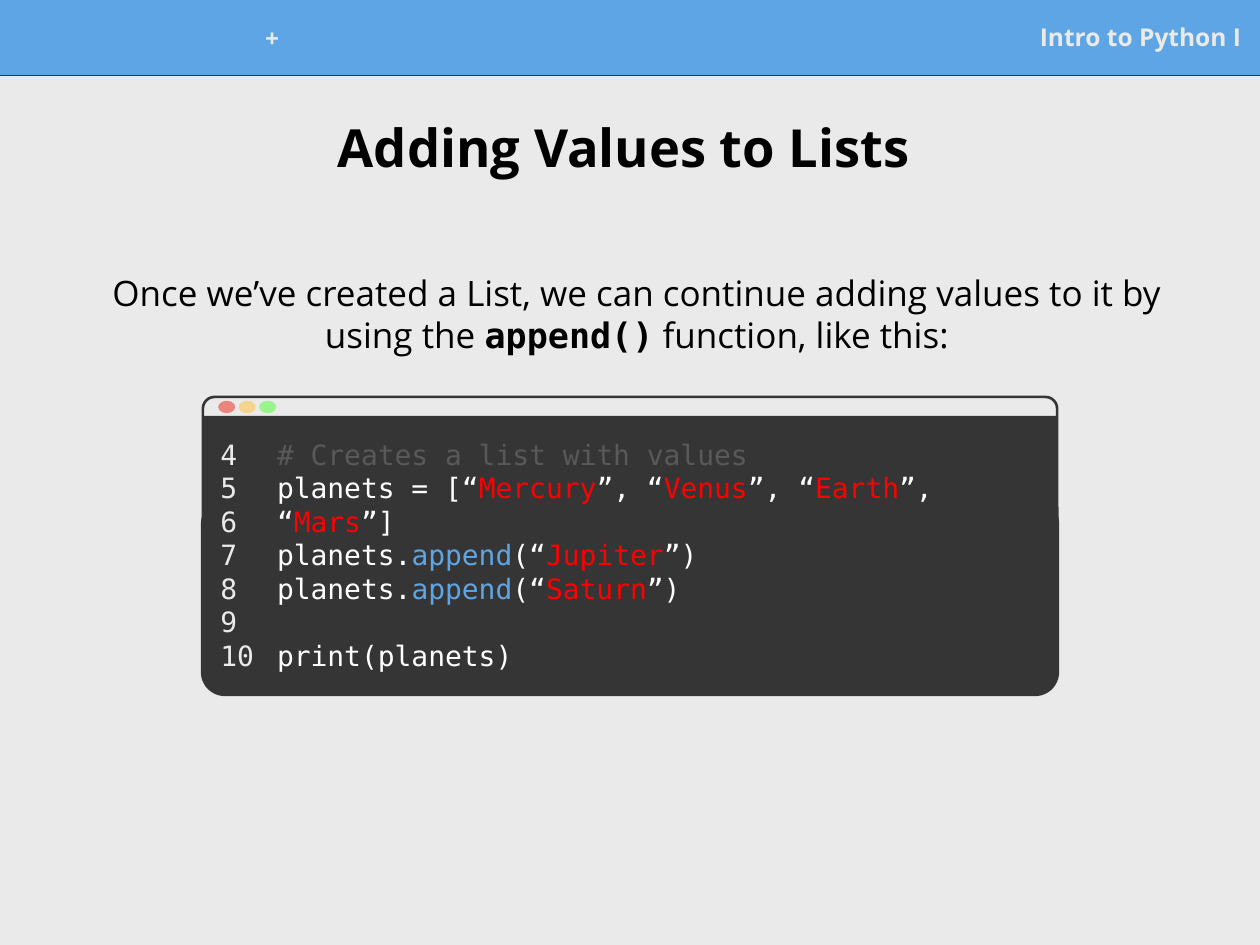
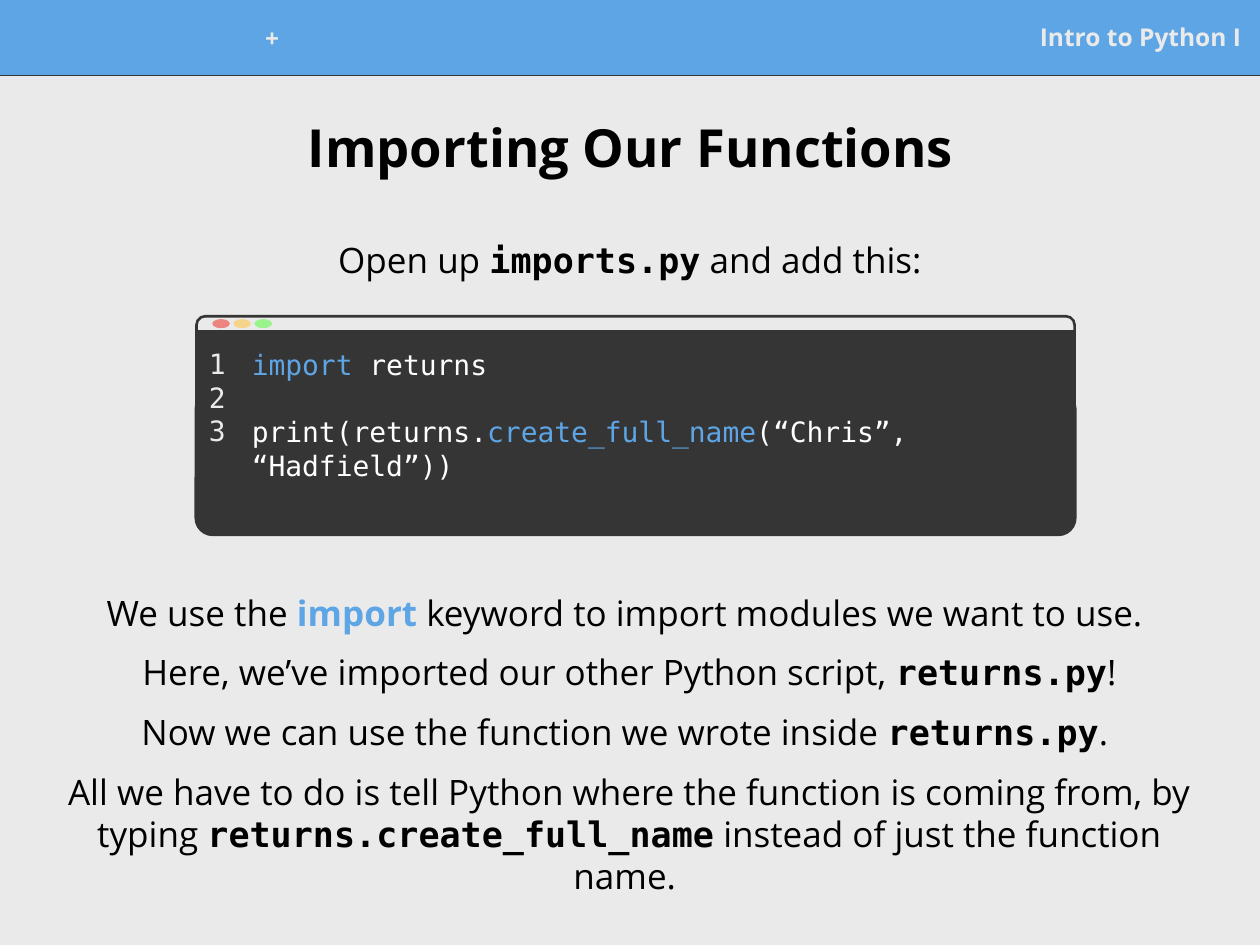
from collections import namedtuple

from lxml.etree import SubElement
from pptx import Presentation
from pptx.dml.color import RGBColor
from pptx.enum.shapes import MSO_CONNECTOR, MSO_SHAPE
from pptx.enum.text import MSO_ANCHOR, PP_ALIGN
from pptx.oxml.ns import qn
from pptx.util import Pt

BLUE = RGBColor(0x5E, 0xA5, 0xE5)
PALE = RGBColor(0xEA, 0xEA, 0xEA)
DARK = RGBColor(0x35, 0x35, 0x35)
GRAY = RGBColor(0x59, 0x59, 0x59)
RED = RGBColor(0xFF, 0x00, 0x00)
BLACK = RGBColor(0x00, 0x00, 0x00)
WHITE = RGBColor(0xFF, 0xFF, 0xFF)
BUTTON_COLORS = [
    RGBColor(0xED, 0x85, 0x7F),
    RGBColor(0xF7, 0xD4, 0x8B),
    RGBColor(0x99, 0xF4, 0x8C),
]

Style = namedtuple("Style", "font color bold")
SANS, MONO = "Open Sans", "DejaVu Sans Mono"
HEADER = Style(SANS, PALE, True)
TITLE = Style(SANS, BLACK, True)
BODY = Style(SANS, BLACK, False)
KEYWORD = Style(SANS, BLUE, True)
NAME = Style(MONO, BLACK, True)
NUMBER = Style(MONO, PALE, False)
CODE = Style(MONO, WHITE, False)
CALL = Style(MONO, BLUE, False)
STRING = Style(MONO, RED, False)
COMMENT = Style(MONO, GRAY, False)

WIDTH, HEIGHT = 720, 540
BAND_HEIGHT = 42.5
TITLE_BOX = (13, 51.1, 694.8, 64.8)
LINE_FACTOR = 1.2
PARAGRAPH_GAP = 10

SLIDES = [
    {
        "title": "Adding Values to Lists ",
        "texts": [
            ((29.5, 131.8, 668.9, 94.3), [
                ["Once we’ve created a List, we can continue adding values to it by using the ",
                 ("append()", NAME), " function, like this:"],
            ]),
        ],
        "window": (115.9, 226.8, 488.2, 169.9),
        "numbers": ((118.8, 242.6, 44.6, 149), range(4, 11)),
        "code": ((151.2, 242.6, 452.9, 118.1), [
            [("# Creates a list with values", COMMENT)],
            ["planets = [“", ("Mercury", STRING), "”, “", ("Venus", STRING), "”, “",
             ("Earth", STRING), "”, “", ("Mars", STRING), "”]"],
            ["planets.", ("append", CALL), "(“", ("Jupiter", STRING), "”)"],
            ["planets.", ("append", CALL), "(“", ("Saturn", STRING), "”)"],
            [],
            ["print(planets)"],
        ]),
    },
    {
        "title": "Importing Our Functions",
        "texts": [
            ((121.7, 115.9, 476.6, 64.8), [
                ["Open up ", ("imports.py", NAME), " and add this:"],
            ]),
            ((25.2, 331, 668.9, 188), [
                ["We use the ", ("import", KEYWORD), " keyword to import modules we want to use. "],
                ["Here, we’ve imported our other Python script, ", ("returns.py", NAME), "!"],
                ["Now we can use the function we wrote inside ", ("returns.py", NAME), ". "],
                ["All we have to do is tell Python where the function is coming from, by typing ",
                 ("returns.create_full_name", NAME), " instead of just the function name. "],
            ]),
        ],
        "window": (112.3, 180.7, 501.8, 124.6),
        "numbers": ((112.3, 190.8, 38.9, 104.4), range(1, 4)),
        "code": ((136.8, 191.3, 482.4, 101.5), [
            [("import ", CALL), "returns"],
            [],
            ["print(returns.", ("create_full_name", CALL), "(“Chris”, “Hadfield”))"],
        ]),
    },
]


def points(box):
    return [Pt(value) for value in box]


def set_font(font, style):
    font.name = style.font
    font.bold = style.bold
    font.color.rgb = style.color


def add_text(slide, box, paragraphs, size, style, alignment=PP_ALIGN.CENTER,
             anchor=MSO_ANCHOR.MIDDLE, gap=0):
    frame = slide.shapes.add_textbox(*points(box)).text_frame
    frame.word_wrap = True
    frame.vertical_anchor = anchor
    frame.margin_left = frame.margin_right = Pt(7.2)
    frame.margin_top = frame.margin_bottom = Pt(7.2)
    line_height = size * LINE_FACTOR
    space_before = 0
    paragraph = frame.paragraphs[0]
    for index, runs in enumerate(paragraphs):
        if not runs:
            space_before += line_height
            continue
        if index:
            paragraph = frame.add_paragraph()
        paragraph.alignment = alignment
        paragraph.line_spacing = Pt(line_height)
        paragraph.space_before = Pt(space_before)
        paragraph.font.size = Pt(size)
        set_font(paragraph.font, style)
        for part in runs:
            text, run_style = (part, None) if isinstance(part, str) else part
            run = paragraph.add_run()
            run.text = text
            if run_style:
                set_font(run.font, run_style)
        space_before = gap


def add_shape(shapes, kind, box, fill=None, line=None, line_width=0, corner=None):
    shape = shapes.add_shape(kind, *points(box))
    shape.shadow.inherit = False
    if fill is None:
        shape.fill.background()
    else:
        shape.fill.solid()
        shape.fill.fore_color.rgb = fill
    if line is None:
        shape.line.fill.background()
    else:
        shape.line.color.rgb = line
        shape.line.width = Pt(line_width)
    if corner is not None:
        shape.adjustments[0] = corner


def add_header(slide):
    rule = slide.shapes.add_connector(
        MSO_CONNECTOR.STRAIGHT, *points((0, BAND_HEIGHT, WIDTH, BAND_HEIGHT)))
    rule.line.color.rgb = DARK
    rule.line.width = Pt(1.5)
    SubElement(rule._element.spPr, qn("a:effectLst"))
    add_shape(slide.shapes, MSO_SHAPE.RECTANGLE, (0, 0, WIDTH, BAND_HEIGHT), BLUE, BLUE, 0.75)
    add_text(slide, (449.3, 7.2, 267.1, 27.4), [["Intro to Python I"]], 14, HEADER,
             PP_ALIGN.RIGHT)
    add_text(slide, (133.9, 7.9, 43.2, 27.4), [["+"]], 14, HEADER)


def add_window(slide, box):
    left, top, width, height = box
    shapes = slide.shapes.add_group_shape().shapes

    def band(start, share):
        return left, top + start * height, width, share * height

    add_shape(shapes, MSO_SHAPE.ROUNDED_RECTANGLE, band(0, 0.72), None, DARK, 1.5, 0.055)
    add_shape(shapes, MSO_SHAPE.RECTANGLE, band(0.064, 0.86), DARK)
    add_shape(shapes, MSO_SHAPE.ROUNDED_RECTANGLE, band(0.352, 0.648), DARK, DARK, 2.25, 0.115)
    for index, color in enumerate(BUTTON_COLORS):
        button = (left + (0.018 + 0.024 * index) * width, top + 0.013 * height,
                  0.02 * width, 0.042 * height)
        add_shape(shapes, MSO_SHAPE.OVAL, button, color)


def add_slide(presentation, content):
    slide = presentation.slides.add_slide(presentation.slide_layouts[6])
    slide.background.fill.solid()
    slide.background.fill.fore_color.rgb = PALE
    add_header(slide)
    add_text(slide, TITLE_BOX, [[content["title"]]], 30, TITLE)
    for box, paragraphs in content["texts"]:
        add_text(slide, box, paragraphs, 20, BODY, gap=PARAGRAPH_GAP)
    add_window(slide, content["window"])
    number_box, numbers = content["numbers"]
    number_lines = [[str(number)] for number in numbers]
    code_box, code_lines = content["code"]
    for box, lines, style in [(number_box, number_lines, NUMBER), (code_box, code_lines, CODE)]:
        add_text(slide, box, lines, 16, style, PP_ALIGN.LEFT, MSO_ANCHOR.TOP)


def main():
    presentation = Presentation()
    presentation.slide_width = Pt(WIDTH)
    presentation.slide_height = Pt(HEIGHT)
    for content in SLIDES:
        add_slide(presentation, content)
    presentation.save("out.pptx")


if __name__ == "__main__":
    main()
